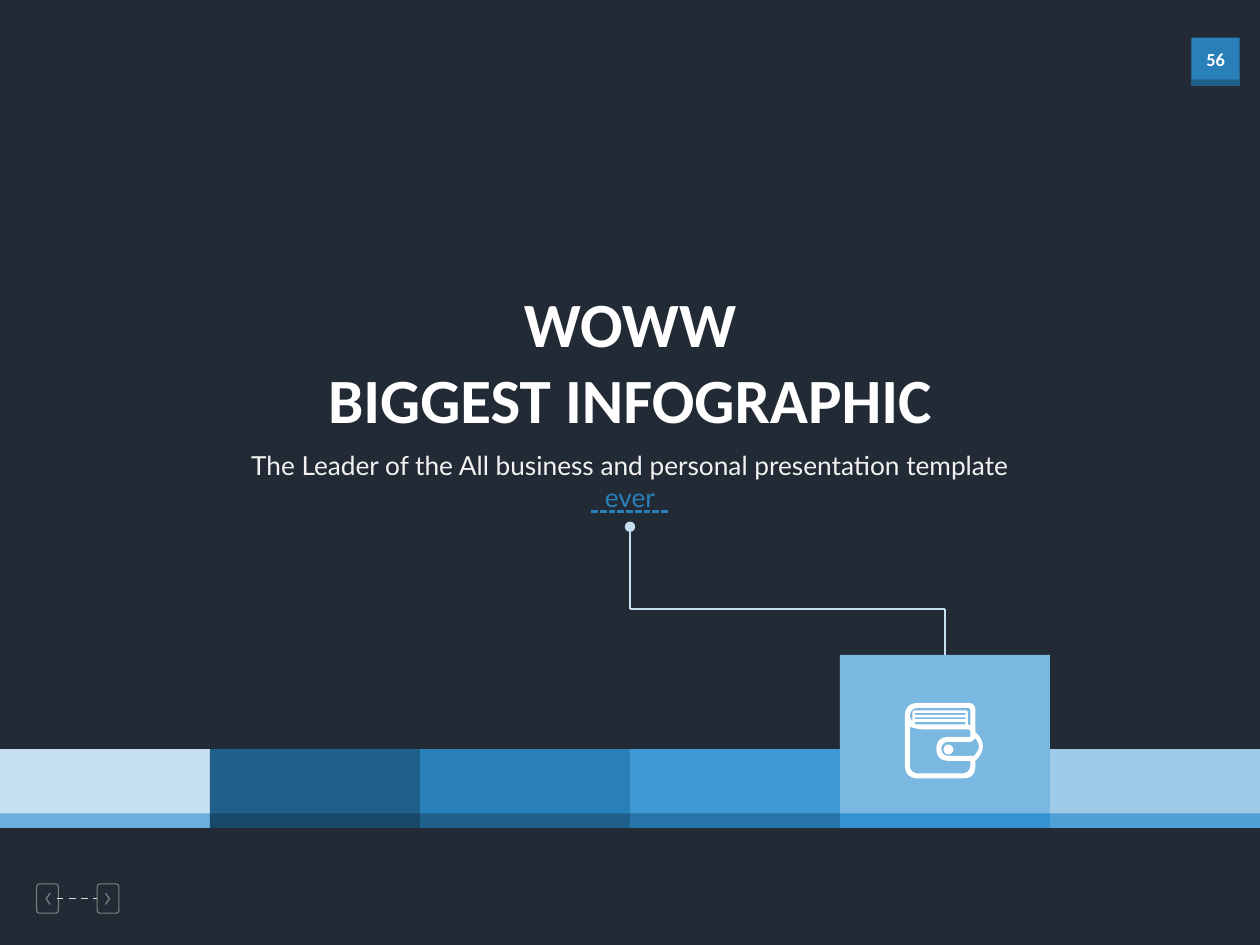
from math import dist
from typing import NamedTuple

from lxml.etree import SubElement
from pptx import Presentation
from pptx.dml.color import RGBColor
from pptx.enum.dml import MSO_LINE_DASH_STYLE as DASH
from pptx.enum.shapes import MSO_CONNECTOR as CONN, MSO_SHAPE as SHAPE
from pptx.enum.text import MSO_ANCHOR, MSO_AUTO_SIZE as AUTO, PP_ALIGN
from pptx.oxml.ns import qn
from pptx.util import Cm, Pt

W, H = 25.4, 19.05
GRID = 0.0254  # cm per unit of the icon grids
WHITE, PALE, BLUE, DEEP = "FFFFFF", "C6E0F2", "2980B9", "1F608B"
GREY = "808080"


class Band(NamedTuple):
    fill: str
    strip: str
    top: float = 15.1


class Corner(NamedTuple):
    x: float
    y: float
    r: float = 0


BANDS = [
    Band(PALE, "6CAFDE"),
    Band(DEEP, "174868"),
    Band(BLUE, DEEP),
    Band("4098D4", "2674A9"),
    Band("7BB8E1", "3492D1", top=13.2),
    Band("9FCBE9", "4FA0D7"),
]
STRIP_TOP, BAND_BOTTOM = 16.4, 16.69


def color(hex_code: str) -> RGBColor:
    return RGBColor.from_string(hex_code)


def paint(sp, fill: str):
    sp.fill.solid()
    sp.fill.fore_color.rgb = color(fill)
    sp.line.fill.background()
    sp.shadow.inherit = False
    return sp


def add_block(x: float, y: float, w: float, h: float, fill: str, kind=SHAPE.RECTANGLE):
    return paint(shapes.add_shape(kind, Cm(x), Cm(y), Cm(w), Cm(h)), fill)


def add_line(x1: float, y1: float, x2: float, y2: float, stroke: str,
             width: float = 1.25, dash=None, head: str = ""):
    ln = shapes.add_connector(CONN.STRAIGHT, Cm(x1), Cm(y1), Cm(x2), Cm(y2))
    ln.line.color.rgb = color(stroke)
    ln.line.width = Pt(width)
    if dash:
        ln.line.dash_style = dash
    if head:
        SubElement(ln.line._get_or_add_ln(), qn("a:headEnd"), type=head)
    SubElement(ln._element.spPr, qn("a:effectLst"))
    return ln


def write(tf, paragraphs: list, wrap: bool, **font) -> None:
    """Fill a frame; each paragraph is a list of (text, colour) runs."""
    for key, value in {"word_wrap": wrap, "auto_size": AUTO.NONE,
                       "vertical_anchor": MSO_ANCHOR.TOP}.items():
        setattr(tf, key, value)
    for i, runs in enumerate(paragraphs):
        p = tf.add_paragraph() if i else tf.paragraphs[0]
        p.alignment = PP_ALIGN.CENTER
        for text, hex_code in runs:
            r = p.add_run()
            r.text = text
            r.font.color.rgb = color(hex_code)
            for key, value in font.items():
                setattr(r.font, key, value)


def add_text(x: float, y: float, w: float, h: float, runs: list, wrap: bool, **font):
    tb = shapes.add_textbox(Cm(x), Cm(y), Cm(w), Cm(h))
    write(tb.text_frame, [runs], wrap, **font)


def box(left: float, top: float, right: float, bottom: float, r: float = 0) -> list:
    return [Corner(left, top, r), Corner(right, top, r),
            Corner(right, bottom, r), Corner(left, bottom, r)]


def rounded(corners: list, steps: int = 8) -> list:
    """Turn corners into points, bending each one over its radius."""
    points = []
    for i, c in enumerate(corners):
        if not c.r:
            points.append((c.x, c.y))
            continue
        ends = []
        for n in (corners[i - 1], corners[(i + 1) % len(corners)]):
            k = min(1, c.r / dist((c.x, c.y), (n.x, n.y)))
            ends.append((c.x + (n.x - c.x) * k, c.y + (n.y - c.y) * k))
        (ax, ay), (bx, by) = ends
        for t in (s / steps for s in range(steps + 1)):
            u = 1 - t
            points.append((u * u * ax + 2 * u * t * c.x + t * t * bx,
                           u * u * ay + 2 * u * t * c.y + t * t * by))
    return points


def add_outline(x: float, y: float, contours: list, fill: str, mirror: float = 0):
    """Draw contours given in grid units; inner contours become holes."""
    fb = None
    for contour in contours:
        pts = [(100 * (mirror - px if mirror else px), 100 * py)
               for px, py in rounded(contour)]
        if fb is None:
            fb = shapes.build_freeform(*pts[0], scale=Cm(GRID) / 100)
        else:
            fb.move_to(*pts[0])
        fb.add_line_segments(pts[1:], close=True)
    return paint(fb.convert_to_shape(Cm(x), Cm(y)), fill)


prs = Presentation()
prs.slide_width, prs.slide_height = Cm(W), Cm(H)
slide = prs.slides.add_slide(prs.slide_layouts[5])
shapes = slide.shapes
slide.background.fill.solid()
slide.background.fill.fore_color.rgb = color("222A35")

# Page number badge
add_block(24.02, 0.76, 0.97, 0.97, BLUE)
add_block(24.02, 1.6, 0.97, 0.13, DEEP)
add_text(24.02, 0.84, 0.97, 0.71, [("56", WHITE)], False,
         name="Calibri", size=Pt(10.5), bold=True)

# Previous and next buttons
BUTTON = [box(0, 0, 18, 24, 3), box(0.8, 0.8, 17.2, 23.2, 2.4)]
CHEVRON = [[Corner(*xy) for xy in
            [(11.5, 8), (8.5, 12.2), (11.5, 16.4), (10.7, 17), (7.3, 12.2), (10.7, 7.4)]]]
for left, mirror in ((0.73, 0), (1.95, 18)):
    for part in (CHEVRON, BUTTON):
        add_outline(left, 17.81, part, GREY, mirror)
add_line(1.14, 18.11, 1.95, 18.11, "D9D9D9", 1, DASH.DASH)

# Colour bands with darker strips
band_w = W / len(BANDS)
blocks = [add_block(i * band_w, b.top, band_w, BAND_BOTTOM - b.top, b.fill)
          for i, b in enumerate(BANDS)]
for i, b in enumerate(BANDS):
    add_block(i * band_w, STRIP_TOP, band_w, BAND_BOTTOM - STRIP_TOP, b.strip)

# Title and subtitle
title = shapes.title
for key, value in {"left": 6.3, "top": 5.61, "width": 12.8, "height": 3.33}.items():
    setattr(title, key, Cm(value))
write(title.text_frame, [[("WOWW", WHITE)], [("BIGGEST INFOGRAPHIC", WHITE)]], False,
      name="Calibri", size=Pt(36), bold=True)
add_text(4.43, 8.94, 16.54, 0.89,
         [("The Leader of the All business and personal presentation template ", "F2F2F2"),
          ("ever", BLUE)], True, name="Lato", size=Pt(15))
add_line(11.92, 10.31, 13.48, 10.31, BLUE, dash=DASH.SQUARE_DOT)

# Path from the subtitle to the raised band
mid, turn, target = W / 2, 12.28, 4.5 * band_w
add_line(mid, 10.62, mid, turn, PALE, head="oval")
add_line(target, turn, mid, turn, PALE)
add_line(target, turn, target, BANDS[4].top, PALE).end_connect(blocks[4], 0)

# Wallet icon
WALLET = [
    [Corner(0, 0, 11), Corner(56, 0, 6), Corner(56, 23), Corner(68, 34.5, 20),
     Corner(56, 46), Corner(56, 60, 10), Corner(0, 60, 11)],
    [Corner(4, 4, 7), Corner(52, 4, 2), Corner(52, 18), Corner(50, 17),
     Corner(50, 6, 2), Corner(6, 6, 2), Corner(6, 15), Corner(4, 11)],
    box(8, 8, 48, 9.5),
    box(8, 11.5, 48, 13),
    box(8, 15, 48, 17),
    [Corner(4, 19), Corner(11, 21, 4), Corner(52, 21, 2), Corner(52, 27),
     Corner(25, 27, 10), Corner(25, 46, 10), Corner(52, 46),
     Corner(52, 56, 7), Corner(4, 56, 7)],
    [Corner(29, 31, 6), Corner(53, 31, 2), Corner(56, 28), Corner(60.5, 35, 6),
     Corner(55, 42), Corner(29, 42, 6)],
]
add_block(19.02, 15.01, 0.2, 0.2, WHITE, SHAPE.OVAL)
add_outline(18.24, 14.17, WALLET, WHITE)

prs.save("out.pptx")
